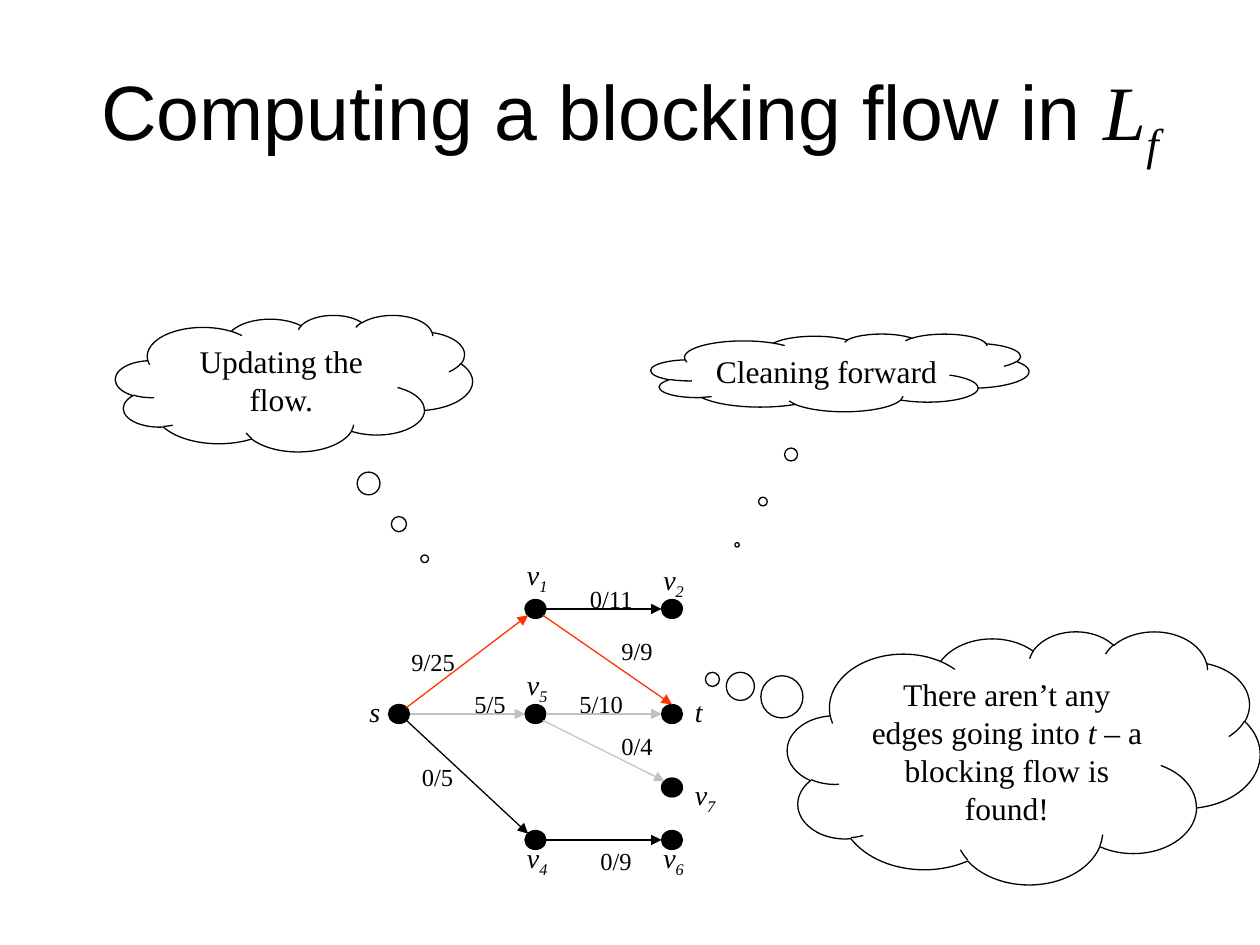
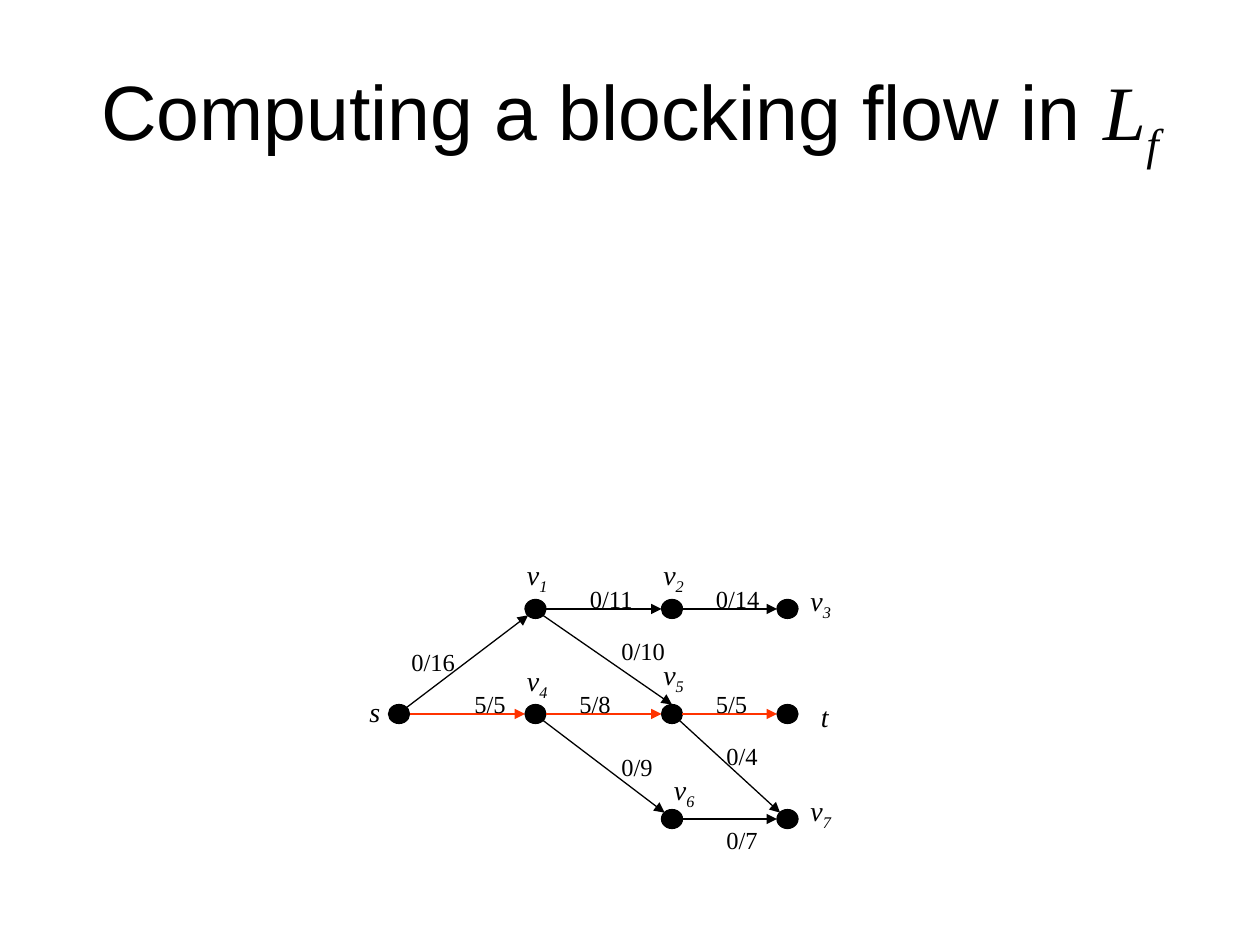
from dataclasses import dataclass

from lxml.etree import SubElement
from pptx import Presentation
from pptx.dml.color import RGBColor
from pptx.enum.shapes import MSO_CONNECTOR, MSO_SHAPE
from pptx.enum.text import MSO_ANCHOR, MSO_AUTO_SIZE, PP_ALIGN
from pptx.oxml.ns import qn
from pptx.util import Inches, Pt


@dataclass(frozen=True)
class Theme:
    black: RGBColor = RGBColor(0x00, 0x00, 0x00)
    red: RGBColor = RGBColor(0xFF, 0x33, 0x00)
    grey: RGBColor = RGBColor(0xC0, 0xC0, 0xC0)
    sans: str = "Arial"
    serif: str = "Times New Roman"
    title: float = 44
    thought: float = 18
    vertex: float = 16
    flow: float = 14
    line: float = 0.75


theme = Theme()

# Grid: 120 columns by 90 rows, one cell is a twelfth of an inch
prs = Presentation()
prs.slide_width, prs.slide_height = Inches(10), Inches(7.5)
CELL = prs.slide_width / 120
NODE_W, NODE_H = 2, 1.8
CORNER_X, CORNER_Y = 0.7, 0.6


def grid(*cells):
    return [round(cell * CELL) for cell in cells]


def write(frame, runs, size, font=theme.serif, align=PP_ALIGN.LEFT, before=0,
          anchor=MSO_ANCHOR.TOP, fit=MSO_AUTO_SIZE.SHAPE_TO_FIT_TEXT):
    """Runs are (text, style) pairs; style is "", "math" or "sub"."""
    frame.word_wrap = True
    frame.auto_size = fit
    frame.vertical_anchor = anchor
    paragraph = frame.paragraphs[0]
    paragraph.alignment = align
    paragraph.space_before = Pt(before)
    for text, style in runs:
        run = paragraph.add_run()
        run.text = text
        run.font.size = Pt(size)
        run.font.name = theme.serif if style else font
        run.font.italic = bool(style)
        run.font.color.rgb = theme.black
        if style == "sub":
            run.font._element.set("baseline", "-25000")


# Vertices: name -> column, row, label column, label row
# Edges: tail, head, flow, label column, label row, colour
final_flow = {
    "vertices": {
        "s": (38, 68, 34, 65.6), "t": (64, 68, 65, 65.6),
        "v1": (51, 58, 49, 52.5), "v2": (64, 58, 62, 53),
        "v4": (51, 80, 49, 79.5), "v5": (51, 68, 49, 63),
        "v6": (64, 80, 62, 79.5), "v7": (64, 75, 65, 73.5),
    },
    "edges": [
        ("s", "v1", "9/25", 38, 61, theme.red),
        ("v1", "v2", "0/11", 55, 55, theme.black),
        ("s", "v4", "0/5", 39, 72, theme.black),
        ("s", "v5", "5/5", 44, 65, theme.grey),
        ("v4", "v6", "0/9", 56, 80, theme.black),
        ("v5", "v7", "0/4", 58, 69, theme.grey),
        ("v5", "t", "5/10", 54, 65, theme.grey),
        ("v1", "t", "9/9", 58, 60, theme.red),
    ],
    # Thoughts: left, top, width, height, pointer, runs
    "thoughts": [
        (11, 30, 34, 13, (0.366, 1.286), [("Updating the flow.", "")]),
        (62, 31.8, 36, 7.4, (-0.272, 2.216), [("Cleaning forward", "")]),
        (75, 60.1, 45, 24.1, (-0.659, -0.309),
         [("There aren’t any edges going into ", ""), ("t", "math"),
          (" – a blocking flow is found!", "")]),
    ],
}
first_path = {
    "vertices": {
        "s": (38, 68, 34, 65.6), "t": (75, 68, 77, 66),
        "v1": (51, 58, 49, 52.5), "v2": (64, 58, 62, 52.5),
        "v3": (75, 58, 76, 55), "v4": (51, 68, 49, 62.6),
        "v5": (64, 68, 62, 62), "v6": (64, 78, 63, 73),
        "v7": (75, 78, 76, 75),
    },
    "edges": [
        ("s", "v1", "0/16", 38, 61, theme.black),
        ("v1", "v2", "0/11", 55, 55, theme.black),
        ("v2", "v3", "0/14", 67, 55, theme.black),
        ("v1", "v5", "0/10", 58, 60, theme.black),
        ("s", "v4", "5/5", 44, 65, theme.red),
        ("v4", "v5", "5/8", 54, 65, theme.red),
        ("v5", "t", "5/5", 67, 65, theme.red),
        ("v4", "v6", "0/9", 58, 71, theme.black),
        ("v5", "v7", "0/4", 68, 70, theme.black),
        ("v6", "v7", "0/7", 68, 78, theme.black),
    ],
    "thoughts": [],
}

for network in (final_flow, first_path):
    slide = prs.slides.add_slide(prs.slide_layouts[5])
    shapes = slide.shapes
    vertices = network["vertices"]

    # Title
    heading = shapes.title
    heading.left, heading.top, heading.width, heading.height = grid(6, 3.6, 108, 15)
    write(heading.text_frame,
          [("Computing a blocking flow in ", ""), ("L", "math"), ("f", "sub")],
          theme.title, font=theme.sans, align=PP_ALIGN.CENTER,
          anchor=MSO_ANCHOR.MIDDLE, fit=MSO_AUTO_SIZE.NONE)

    # Vertices and their names
    for name, (column, row, label_column, label_row) in vertices.items():
        dot = shapes.add_shape(MSO_SHAPE.OVAL, *grid(
            column - NODE_W / 2, row - NODE_H / 2, NODE_W, NODE_H))
        dot.shadow.inherit = False
        dot.fill.solid()
        dot.fill.fore_color.rgb = theme.black
        dot.line.color.rgb = theme.black
        dot.line.width = Pt(theme.line)

        letter, index = name[0], name[1:]
        runs = [(letter, "math")] + ([(index, "sub")] if index else [])
        width, height = (7, 4.9) if index else (4, 4.4)
        label = shapes.add_textbox(*grid(label_column, label_row, width, height))
        write(label.text_frame, runs, theme.vertex, before=10)

    # Edges and their flow / capacity
    for tail, head, flow, label_column, label_row, colour in network["edges"]:
        (x1, y1), (x2, y2) = vertices[tail][:2], vertices[head][:2]
        if y1 == y2:
            x1, x2 = x1 + NODE_W / 2, x2 - NODE_W / 2
        else:
            down = 1 if y2 > y1 else -1
            x1, y1 = x1 + CORNER_X, y1 + down * CORNER_Y
            # Edges from v1 into the middle row meet the top of the vertex
            if tail == "v1":
                y2 -= NODE_H / 2
            else:
                x2, y2 = x2 - CORNER_X, y2 - down * CORNER_Y
        arrow = shapes.add_connector(MSO_CONNECTOR.STRAIGHT, *grid(x1, y1, x2, y2))
        arrow.line.color.rgb = colour
        arrow.line.width = Pt(theme.line)
        SubElement(arrow.line._get_or_add_ln(), qn("a:tailEnd"), type="triangle")
        SubElement(arrow._element.spPr, qn("a:effectLst"))

        label = shapes.add_textbox(*grid(label_column, label_row, 7, 4.1))
        write(label.text_frame, [(flow, "")], theme.flow, before=8.7)

    # Thought clouds
    for left, top, width, height, pointer, runs in network["thoughts"]:
        cloud = shapes.add_shape(MSO_SHAPE.CLOUD_CALLOUT,
                                 *grid(left, top, width, height))
        cloud.shadow.inherit = False
        cloud.fill.background()
        cloud.line.color.rgb = theme.black
        cloud.line.width = Pt(theme.line)
        cloud.adjustments[0], cloud.adjustments[1] = pointer
        write(cloud.text_frame, runs, theme.thought, align=PP_ALIGN.CENTER)

prs.save("out.pptx")
